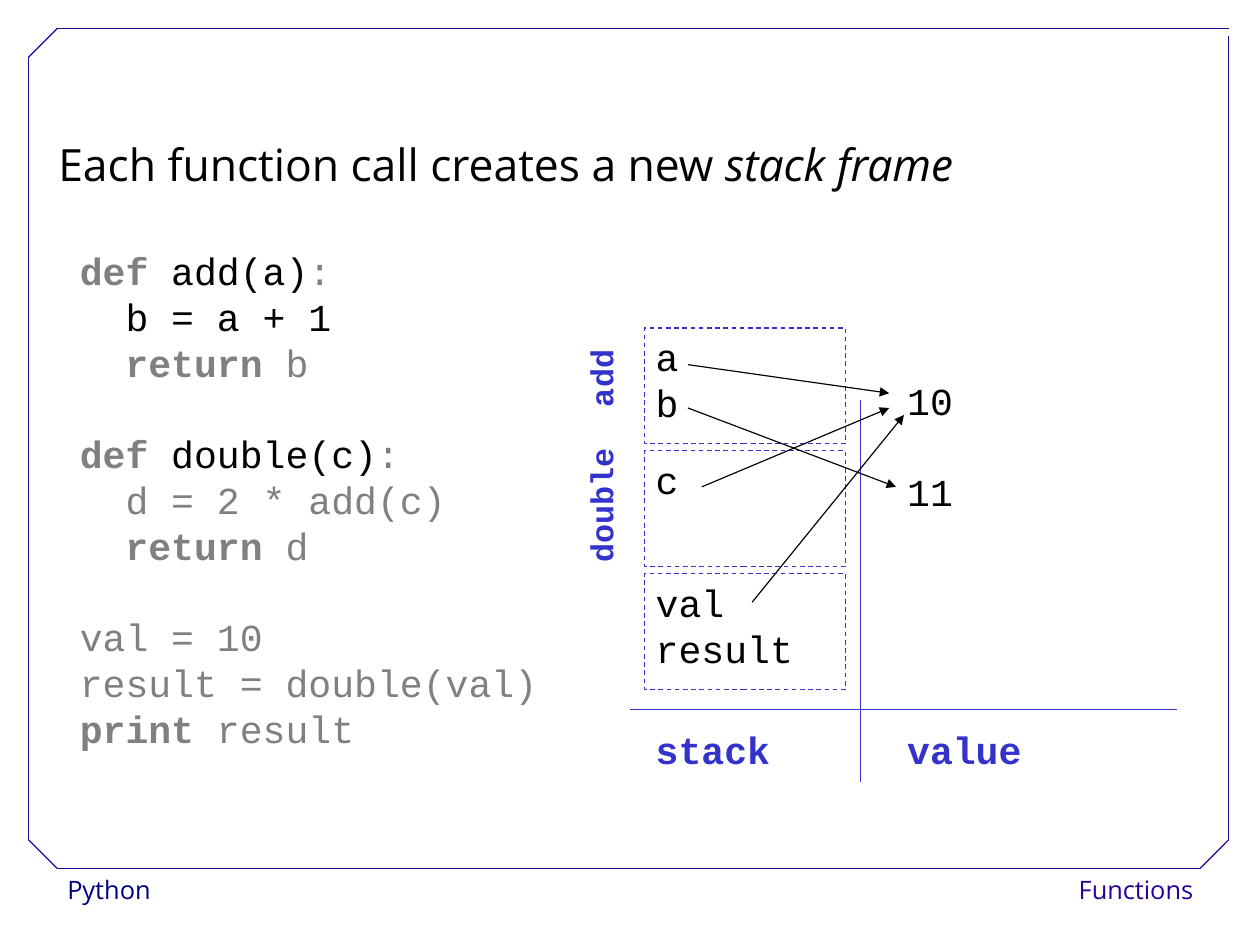
from collections import namedtuple

from lxml import etree
from pptx import Presentation
from pptx.dml.color import RGBColor
from pptx.enum.dml import MSO_LINE
from pptx.enum.shapes import MSO_CONNECTOR, MSO_SHAPE
from pptx.enum.text import MSO_ANCHOR, MSO_AUTO_SIZE, PP_ALIGN
from pptx.oxml.ns import qn
from pptx.util import Pt

BLACK = RGBColor(0x00, 0x00, 0x00)
WHITE = RGBColor(0xFF, 0xFF, 0xFF)
GRAY = RGBColor(0x80, 0x80, 0x80)
BLUE = RGBColor(0x33, 0x33, 0xCC)
INDIGO = RGBColor(0x28, 0x00, 0x99)
NAVY = RGBColor(0x00, 0x00, 0x80)

SANS = "Open Sans"
MONO = "Courier New"
CODE_SIZE = 24
CODE_PITCH = 28.8

Box = namedtuple("Box", "left top width height")

# Code run styles: colour, bold
KEYWORD = (GRAY, True)
ACTIVE = (BLACK, False)
DIMMED = (GRAY, False)

# Blocks of lines, lines of (text, style) runs
CODE = [
    [
        [("def ", KEYWORD), ("add(a)", ACTIVE), (":", DIMMED)],
        [("  b = a + 1", ACTIVE)],
        [("  ", DIMMED), ("return", KEYWORD), (" b", DIMMED)],
    ],
    [
        [("def ", KEYWORD), ("double(c)", ACTIVE), (":", DIMMED)],
        [("  d = 2 * add(c)", DIMMED)],
        [("  ", DIMMED), ("return", KEYWORD), (" d", DIMMED)],
    ],
    [
        [("val = 10", DIMMED)],
        [("result = double(val)", DIMMED)],
        [("print", KEYWORD), (" result", DIMMED)],
    ],
]

# Variables in each frame, from the top of the stack
FRAMES = [["a", "b"], ["c"], ["val", "result"]]

# Frame labels and their middles, relative to the diagram
FRAME_LABELS = [("add", 31.7), ("double", 111.6)]

# Arrow start and end, relative to the diagram
ARROWS = [
    ((67.8, 172.8), (163.5, 54.8)),
    ((36.1, 100.1), (154.2, 50.4)),
    ((27.4, 23.1), (154.2, 41.1)),
    ((27.4, 50.4), (158.5, 100.1)),
]


def place(shape, box):
    shape.left, shape.top, shape.width, shape.height = map(Pt, box)


def prepare_frame(shape):
    frame = shape.text_frame
    frame.word_wrap = True
    frame.auto_size = MSO_AUTO_SIZE.NONE
    frame.vertical_anchor = MSO_ANCHOR.TOP
    return frame


def style(para, font, size, color=None, bold=None, align=PP_ALIGN.LEFT):
    para.alignment = align
    para.font.name = font
    para.font.size = Pt(size)
    para.font.bold = bold
    if color is not None:
        para.font.color.rgb = color


def add_label(slide, box, text, font, size, color, bold=False,
              align=PP_ALIGN.LEFT, spacing=0.93):
    label = slide.shapes.add_textbox(*map(Pt, box))
    para = prepare_frame(label).paragraphs[0]
    para.text = text
    para.line_spacing = spacing
    style(para, font, size, color, bold, align)
    return label


def add_lines(frame, lines, gap=0):
    """Write plain code lines with a gap between them."""
    for index, text in enumerate(lines):
        para = frame.add_paragraph() if index else frame.paragraphs[0]
        para.text = text
        para.line_spacing = Pt(CODE_PITCH)
        if index and gap:
            para.space_before = Pt(gap)
        style(para, MONO, CODE_SIZE, BLACK)


def add_line(slide, start, end, color, arrow=False):
    line = slide.shapes.add_connector(MSO_CONNECTOR.STRAIGHT, *map(Pt, start + end))
    line.line.color.rgb = color
    line.line.width = Pt(0.75)
    if arrow:
        outline = line.line._get_or_add_ln()
        etree.SubElement(outline, qn("a:tailEnd"), type="triangle")
    etree.SubElement(line._element.spPr, qn("a:effectLst"))


def add_border(slide, box):
    corner = 18
    left, top = box.left, box.top
    right, bottom = left + box.width, top + box.height
    # Footer labels
    footers = [
        (Box(35.3, bottom, 154.8, 28.8), "Python", NAVY, PP_ALIGN.LEFT),
        (Box(658, bottom, 100.8, 28.8), "Functions", INDIGO, PP_ALIGN.RIGHT),
    ]
    for footer_box, text, color, align in footers:
        footer = add_label(slide, footer_box, text, SANS, 16, color,
                           align=align, spacing=1.02)
        footer.fill.solid()
        footer.fill.fore_color.rgb = WHITE
    # Sides and cut corners
    for start, end in [
        ((left + corner, bottom), (right - corner, bottom)),
        ((left, bottom - corner), (left, top + corner)),
        ((left + corner, top), (right, top)),
        ((right, bottom - corner), (right, top + 5)),
        ((left, top + corner), (left + corner, top)),
        ((right - corner, bottom), (right, bottom - corner)),
        ((left, bottom - corner), (left + corner, bottom)),
    ]:
        add_line(slide, start, end, INDIGO)


def add_title(slide, box):
    title = slide.shapes.title
    place(title, box)
    para = prepare_frame(title).paragraphs[0]
    para.line_spacing = 1.5
    style(para, SANS, 28, BLACK)
    para.add_run().text = "Each function call creates a new "
    term = para.add_run()
    term.text = "stack frame"
    term.font.italic = True


def add_code(slide, box):
    frame = prepare_frame(slide.shapes.add_textbox(*map(Pt, box)))
    para = frame.paragraphs[0]
    for block_index, block in enumerate(CODE):
        for line_index, line in enumerate(block):
            if block_index or line_index:
                para = frame.add_paragraph()
            para.line_spacing = Pt(CODE_PITCH)
            if block_index and not line_index:
                para.space_before = Pt(CODE_PITCH)
            style(para, MONO, CODE_SIZE)
            for text, (color, bold) in line:
                span = para.add_run()
                span.text = text
                span.font.color.rgb = color
                span.font.bold = bold


def add_stack(slide, box):
    left, top, width, height = box
    bottom = top + height
    frame_width, frame_height, pitch = 126.7, 72.7, 77.4
    value_left = left + 158.4
    # Axes and their headings
    add_line(slide, (left - 9.3, bottom - 45.4), (left + width, bottom - 45.4), BLUE)
    add_line(slide, (left + 136.1, top + 45.4), (left + 136.1, bottom), BLUE)
    for heading_left, heading in [(left, "stack"), (value_left, "value")]:
        add_label(slide, Box(heading_left, bottom - 36, frame_width, 36),
                  heading, MONO, CODE_SIZE, BLUE, bold=True)
    # Values
    values = slide.shapes.add_textbox(*map(Pt, (value_left, top + 27.4, 195, 172)))
    add_lines(prepare_frame(values), ["10", "11"], CODE_PITCH)
    # Stack frames
    for index, variables in enumerate(FRAMES):
        frame = slide.shapes.add_shape(
            MSO_SHAPE.RECTANGLE,
            *map(Pt, (left, top + index * pitch, frame_width, frame_height)))
        frame.shadow.inherit = False
        frame.fill.background()
        frame.line.color.rgb = BLUE
        frame.line.width = Pt(0.75)
        frame.line.dash_style = MSO_LINE.DASH
        add_lines(prepare_frame(frame), variables)
    # Rotated frame labels
    for name, middle in FRAME_LABELS:
        label = add_label(slide, Box(left - 73, top + middle - 18, 100, 36), name,
                          MONO, 20, BLUE, bold=True, align=PP_ALIGN.CENTER)
        label.rotation = 270
    # Arrows from variables to values
    for (start_x, start_y), (end_x, end_y) in ARROWS:
        add_line(slide, (left + start_x, top + start_y),
                 (left + end_x, top + end_y), BLACK, arrow=True)


def main():
    deck = Presentation()
    deck.slide_width, deck.slide_height = Pt(793.75), Pt(595.25)
    page = deck.slides.add_slide(deck.slide_layouts[5])
    add_border(page, Box(18, 18, 756, 529))
    add_title(page, Box(29.5, 66.2, 656, 57.6))
    add_code(page, Box(43.2, 152.6, 335.5, 362.9))
    add_stack(page, Box(406, 206.6, 335.6, 285.9))
    deck.save("out.pptx")


if __name__ == "__main__":
    main()
